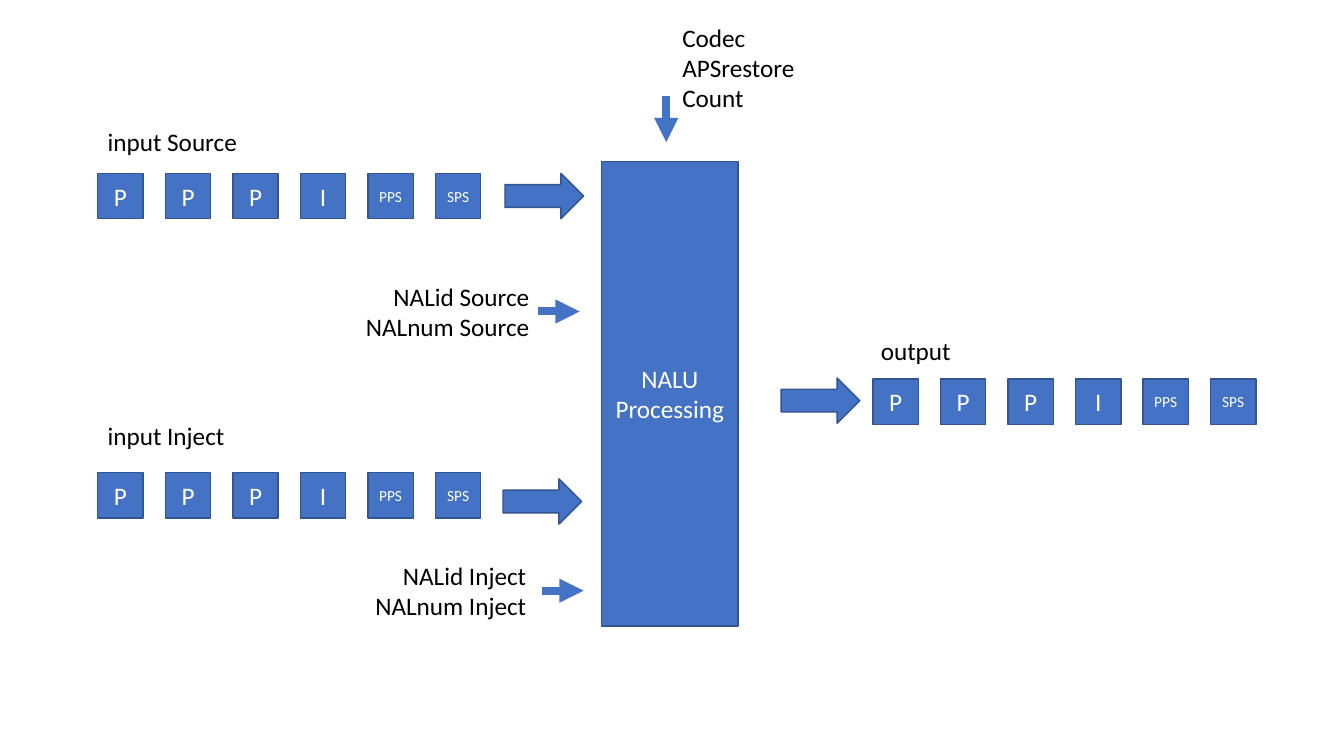
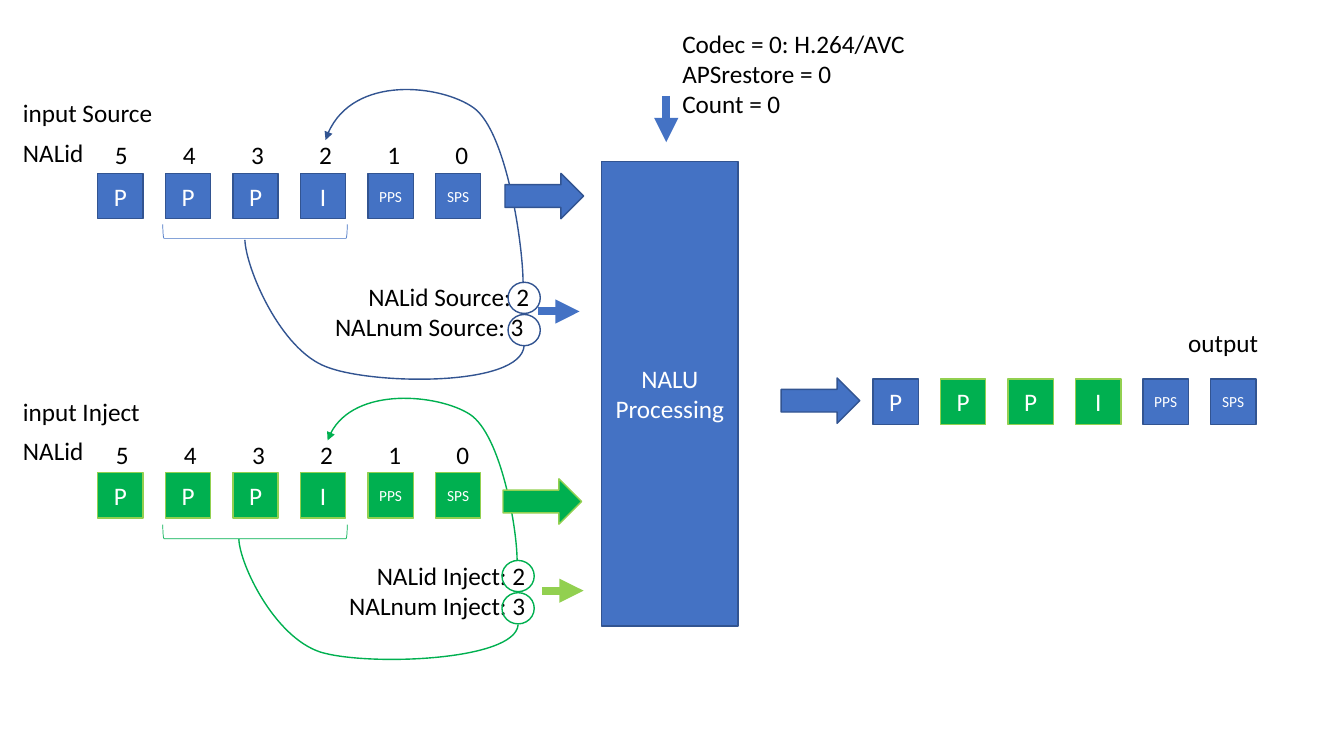
from dataclasses import dataclass

from lxml import etree
from pptx import Presentation
from pptx.dml.color import RGBColor
from pptx.enum import shapes, text
from pptx.oxml.ns import qn
from pptx.util import Inches, Pt


@dataclass(frozen=True)
class Palette:
    fill: str
    line: str
    small_arrow: str
    loop: str
    bracket: str


@dataclass(frozen=True)
class Theme:
    font: str = "Calibri"
    body: int = 18
    small: int = 11
    ink: str = "000000"
    paper: str = "FFFFFF"
    outline: float = 1
    hairline: float = 0.5
    thick: float = 5.75
    blue: Palette = Palette("4472C4", "325491", "4472C4", "325491", "4472C4")
    green: Palette = Palette("00B050", "92D050", "92D050", "00B050", "00B050")


THEME = Theme()
UNITS = ("P", "P", "P", "I", "PPS", "SPS")
TILE, PITCH = 0.45, 0.67
INDEX_PITCH = 3.38 / 5
BLOCK_ARROW = (0.78, 0.45)
CIRCLE = (0.32, 0.31)


@dataclass(frozen=True)
class Lane:
    name: str
    left: float
    top: float
    block_arrow: tuple
    params_top: float
    small_arrow: tuple
    name_top: float
    nalid_top: float
    index: tuple
    bracket: tuple
    circle: tuple
    jump: tuple  # Bezier points: start, then three for each arc
    sag: tuple


SOURCE = Lane(
    "Source", 0.97, 1.72, (5.01, 1.72), 2.74, (5.34, 3.09),
    name_top=0.92, nalid_top=1.31, index=(1.04, 1.33), bracket=(2.46, 1.38),
    circle=(5.04, 2.8),
    jump=((5.19, 2.81), (5.19, 2.44), (5.03, 1.31), (4.7, 1.07),
          (4.38, 0.84), (3.44, 0.73), (3.23, 1.39)),
    sag=((5.2, 3.43), (5.17, 3.84), (3.7, 3.82), (3.24, 3.64),
         (2.78, 3.47), (2.44, 2.66), (2.43, 2.38)))
INJECT = Lane(
    "Inject", 0.97, 4.69, (4.99, 4.75), 5.51, (5.38, 5.86),
    name_top=3.88, nalid_top=4.27, index=(1.05, 4.31), bracket=(2.46, 4.36),
    circle=(4.98, 5.56),
    jump=((5.13, 5.56), (5.13, 5.24), (4.97, 4.31), (4.66, 4.11),
          (4.35, 3.91), (3.44, 3.82), (3.25, 4.37)),
    sag=((5.14, 6.2), (5.11, 6.56), (3.64, 6.61), (3.18, 6.47),
         (2.72, 6.32), (2.38, 5.6), (2.37, 5.35)))


# Basic parts
def rgb(value):
    return RGBColor.from_string(value)


def write(frame, lines, size, color, align):
    frame.word_wrap = True
    for index, line in enumerate(lines):
        paragraph = frame.paragraphs[0] if index == 0 else frame.add_paragraph()
        paragraph.alignment = align
        run = paragraph.add_run()
        run.text = line
        run.font.name = THEME.font
        run.font.size = Pt(size)
        run.font.color.rgb = rgb(color)


def label(slide, left, top, width, lines, align=text.PP_ALIGN.LEFT):
    height = 0.1 + 0.3 * len(lines)
    box = slide.shapes.add_textbox(*map(Inches, (left, top, width, height)))
    write(box.text_frame, lines, THEME.body, THEME.ink, align)


def style(shape, fill, line, width=THEME.outline):
    shape.shadow.inherit = False
    if fill:
        shape.fill.solid()
        shape.fill.fore_color.rgb = rgb(fill)
    else:
        shape.fill.background()
    shape.line.color.rgb = rgb(line)
    shape.line.width = Pt(width)


def preset(slide, kind, box, fill, line, width=THEME.outline):
    shape = slide.shapes.add_shape(kind, *map(Inches, box))
    style(shape, fill, line, width)
    return shape


def filled_box(slide, box, caption, size, palette):
    shape = preset(slide, shapes.MSO_SHAPE.RECTANGLE, box, palette.fill, palette.line)
    frame = shape.text_frame
    frame.margin_left = frame.margin_right = 0
    frame.vertical_anchor = text.MSO_ANCHOR.MIDDLE
    write(frame, [caption], size, THEME.paper, text.PP_ALIGN.CENTER)


def arrowhead(shape):
    line = shape._element.spPr.find(qn("a:ln"))
    etree.SubElement(line, qn("a:tailEnd"), type="triangle")


def small_arrow(slide, start, end, color):
    arrow = slide.shapes.add_connector(
        shapes.MSO_CONNECTOR.STRAIGHT, *map(Inches, (*start, *end)))
    arrow.line.color.rgb = rgb(color)
    arrow.line.width = Pt(THEME.thick)
    arrowhead(arrow)
    etree.SubElement(arrow._element.spPr, qn("a:effectLst"))


def block_arrow(slide, corner, palette):
    preset(slide, shapes.MSO_SHAPE.RIGHT_ARROW, (*corner, *BLOCK_ARROW),
           palette.fill, palette.line)


def bezier(arc, t):
    weights = ((1 - t) ** 3, 3 * t * (1 - t) ** 2, 3 * t * t * (1 - t), t ** 3)
    return tuple(Inches(sum(w * p[axis] for w, p in zip(weights, arc))) for axis in (0, 1))


def curve(slide, points, color, head=False):
    arcs = [points[first:first + 4] for first in range(0, len(points) - 1, 3)]

    # Sampled points give the outline its true frame
    builder = slide.shapes.build_freeform(*map(Inches, points[0]))
    builder.add_line_segments([bezier(arc, step / 24) for arc in arcs
                               for step in range(1, 25)], close=False)
    shape = builder.convert_to_shape()

    # The segments then give way to cubic arcs
    outline = next(shape._element.iter(qn("a:path")))
    for segment in outline.findall(qn("a:lnTo")):
        outline.remove(segment)
    for arc in arcs:
        cubic = etree.SubElement(outline, qn("a:cubicBezTo"))
        for x, y in arc[1:]:
            etree.SubElement(cubic, qn("a:pt"), x=str(Inches(x) - shape.left),
                             y=str(Inches(y) - shape.top))
    style(shape, None, color)
    if head:
        arrowhead(shape)


# Regions
def unit_row(slide, left, top, palettes):
    for index, (unit, palette) in enumerate(zip(UNITS, palettes)):
        size = THEME.body if len(unit) == 1 else THEME.small
        filled_box(slide, (left + index * PITCH, top, TILE, TILE), unit, size, palette)


def input_lane(slide, lane, palette, params, params_left, params_width):
    unit_row(slide, lane.left, lane.top, [palette] * len(UNITS))
    block_arrow(slide, lane.block_arrow, palette)
    label(slide, params_left, lane.params_top, params_width, params, text.PP_ALIGN.RIGHT)
    x, y = lane.small_arrow
    small_arrow(slide, (x, y), (x + 0.41, y), palette.small_arrow)


def lane_markers(slide, lane, palette):
    # Index numbers above the units
    label(slide, 0.13, lane.nalid_top, 6.66, ["NALid"])
    index_left, index_top = lane.index
    for index in range(len(UNITS)):
        label(slide, index_left + index * INDEX_PITCH, index_top, 0.22,
              [str(len(UNITS) - 1 - index)])

    # Bracket under the chosen units, turned to open upwards
    bracket = preset(slide, shapes.MSO_SHAPE.RIGHT_BRACKET, (*lane.bracket, 0.14, 1.83),
                     None, palette.bracket, THEME.hairline)
    bracket.rotation = 90

    # Rings around the two values, and the curve from the count
    ring_left, ring_top = lane.circle
    for offset in (0, 0.32):
        preset(slide, shapes.MSO_SHAPE.OVAL, (ring_left, ring_top + offset, *CIRCLE),
               None, palette.loop)
    curve(slide, lane.sag, palette.loop)


def processor(slide, settings, settings_top):
    left, top, width = 5.97, 1.6, 1.35
    filled_box(slide, (left, top, width, 4.61), "NALU Processing", THEME.body, THEME.blue)
    small_arrow(slide, (left + 0.64, top - 0.65), (left + 0.64, top - 0.19),
                THEME.blue.small_arrow)
    label(slide, left + 0.7, settings_top, 3.25, settings)


def output_lane(slide, label_left, label_top, palettes):
    label(slide, label_left, label_top, 1.47, ["output"])
    block_arrow(slide, (7.75, 3.75), THEME.blue)
    unit_row(slide, 8.66, 3.76, palettes)


# Slides
def overview_slide(slide):
    for lane, label_top, params_box in ((SOURCE, 1.2, (3.29, 2.06)),
                                        (INJECT, 4.12, (2.98, 2.34))):
        label(slide, lane.left, label_top, 1.7, [f"input {lane.name}"])
        input_lane(slide, lane, THEME.blue,
                   [f"NALid {lane.name}", f"NALnum {lane.name}"], *params_box)
    processor(slide, ["Codec", "APSrestore", "Count"], 0.17)
    output_lane(slide, 8.64, 3.28, [THEME.blue] * len(UNITS))


def example_slide(slide):
    blue, green = THEME.blue, THEME.green
    for lane, palette, count, params_box in ((SOURCE, blue, "3 ", (2.76, 2.59)),
                                             (INJECT, green, "3", (2.62, 2.69))):
        curve(slide, lane.jump, palette.loop, head=True)
        label(slide, 0.13, lane.name_top, 1.7, [f"input {lane.name}"])
        input_lane(slide, lane, palette,
                   [f"NALid {lane.name}: 2", f"NALnum {lane.name}: {count}"], *params_box)
        lane_markers(slide, lane, palette)
    processor(slide, ["Codec = 0: H.264/AVC", "APSrestore = 0", "Count = 0"], 0.23)
    output_lane(slide, 11.69, 3.2, [blue, green, green, green, blue, blue])


def main():
    deck = Presentation()
    deck.slide_width, deck.slide_height = Inches(40 / 3), Inches(7.5)
    for build in (overview_slide, example_slide):
        build(deck.slides.add_slide(deck.slide_layouts[6]))
    deck.save("out.pptx")


if __name__ == "__main__":
    main()
